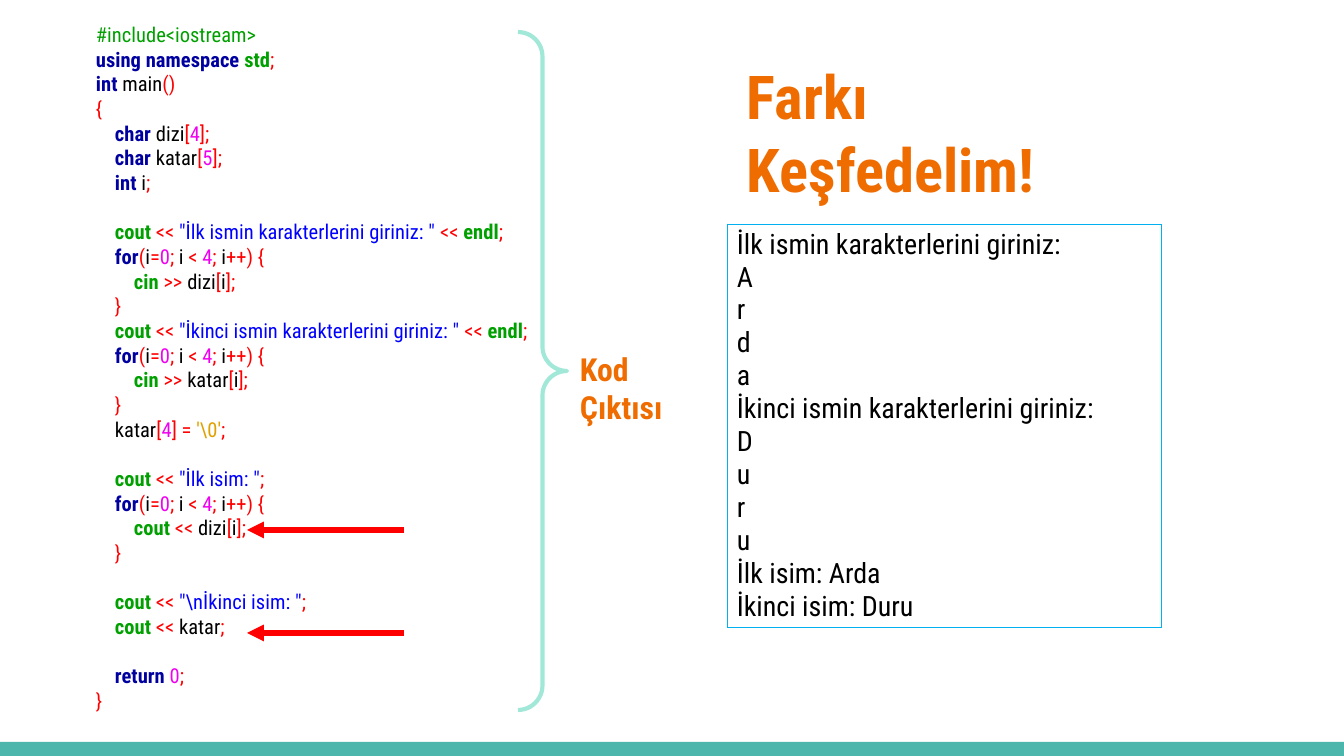
from itertools import groupby

from lxml import etree
from pptx import Presentation
from pptx.dml.color import RGBColor
from pptx.enum.shapes import MSO_CONNECTOR, MSO_SHAPE
from pptx.enum.text import MSO_ANCHOR
from pptx.oxml.ns import qn
from pptx.util import Emu, Pt

PX_PER_INCH = 134.4
FONT = "Roboto Condensed"
COLORS = {
    "bar": "4DB6AC", "heading": "EF6C00", "brace": "A1E8D9", "arrow": "FF0000",
    "border": "00B0F0", "plain": "000000", "directive": "00A000",
    "keyword": "0000A0", "library": "00A000", "symbol": "FF0000",
    "number": "F000F0", "string": "0000FF", "char": "E0A000",
}
KEYWORDS = {"using", "namespace", "int", "char", "for", "return"}
LIBRARY = {"std", "cout", "cin", "endl"}

CODE = r"""#include<iostream>
using namespace std;
int main()
{
    char dizi[4];
    char katar[5];
    int i;

    cout << "İlk ismin karakterlerini giriniz: " << endl;
    for(i=0; i < 4; i++) {
        cin >> dizi[i];
    }
    cout << "İkinci ismin karakterlerini giriniz: " << endl;
    for(i=0; i < 4; i++) {
        cin >> katar[i];
    }
    katar[4] = '\0';

    cout << "İlk isim: ";
    for(i=0; i < 4; i++) {
        cout << dizi[i];
    }

    cout << "\nİkinci isim: ";
    cout << katar;

    return 0;
}"""
OUTPUT = ["İlk ismin karakterlerini giriniz:", *"Arda",
          "İkinci ismin karakterlerini giriniz:", *"Duru",
          "İlk isim: Arda", "İkinci isim: Duru"]


def px(n):
    return Emu(round(n * 914400 / PX_PER_INCH))


def rgb(name):
    return RGBColor.from_string(COLORS[name])


def add_text(p, text, size=11, color="plain", bold=False):
    r = p.add_run()
    r.text = text
    r.font.name = FONT
    r.font.size = Pt(size)
    r.font.bold = bold
    r.font.color.rgb = rgb(color)


def word_kind(word):
    if word in KEYWORDS:
        return "keyword"
    if word in LIBRARY:
        return "library"
    return "number" if word.isdigit() else "plain"


def char_kinds(line):
    """Pair each character with its lexical class."""
    quote = ""
    for ch in line:
        if quote or ch in "\"'":
            yield ch, "string" if (quote or ch) == '"' else "char"
            quote = "" if ch == quote else quote or ch
        elif ch.isspace():
            yield ch, "space"
        else:
            yield ch, "word" if ch.isalnum() else "symbol"


def highlight(line):
    """Return (text, color name) pairs; a space joins the token before it."""
    if line.startswith("#"):
        return [(line, "directive")]
    tokens = []
    for kind, group in groupby(char_kinds(line), key=lambda pair: pair[1]):
        text = "".join(ch for ch, _ in group)
        if kind == "space":
            kind = tokens[-1][1]
        elif kind == "word":
            kind = word_kind(text)
        tokens.append((text, kind))
    return [("".join(text for text, _ in group), kind)
            for kind, group in groupby(tokens, key=lambda token: token[1])]


class Deck:
    def __init__(self, width, height):
        self.prs = Presentation()
        self.prs.slide_width, self.prs.slide_height = px(width), px(height)
        self.s = self.prs.slides.add_slide(self.prs.slide_layouts[6])

    def shape(self, kind, x, y, w, h, fill=None, line=None, weight=1):
        sp = self.s.shapes.add_shape(kind, px(x), px(y), px(w), px(h))
        sp.shadow.inherit = False
        if fill:
            sp.fill.solid()
            sp.fill.fore_color.rgb = rgb(fill)
        else:
            sp.fill.background()
        if line:
            sp.line.color.rgb = rgb(line)
            sp.line.width = Pt(weight)
        else:
            sp.line.fill.background()
        return sp

    def text_box(self, x, y, w, h):
        tf = self.s.shapes.add_textbox(px(x), px(y), px(w), px(h)).text_frame
        tf.word_wrap = True
        tf.margin_left = tf.margin_right = tf.margin_top = tf.margin_bottom = px(13)
        return tf

    def heading(self, text, x, y, w, h, size):
        p = self.text_box(x, y, w, h).paragraphs[0]
        p.line_spacing = Pt(round(size * 1.2, 1))
        add_text(p, text, size=size, color="heading", bold=True)

    def code(self, source, x, y, w, h, pitch=13.2, indent=19):
        tf = self.text_box(x, y, w, h)
        p, gap = tf.paragraphs[0], 0
        for i, line in enumerate(source.splitlines()):
            body = line.lstrip()
            if not body:
                gap = pitch
                continue
            if i:
                p = tf.add_paragraph()
            p.line_spacing, p.space_before = Pt(pitch), Pt(gap)
            gap = 0
            level = (len(line) - len(body)) // 4
            pPr = p._p.get_or_add_pPr()
            pPr.set("marL", str(px(level * indent)))
            pPr.set("indent", "0")
            for text, kind in highlight(body):
                add_text(p, text, color=kind, bold=kind in ("keyword", "library"))

    def output_table(self, lines, x, y, w, h):
        table = self.s.shapes.add_table(1, 1, px(x), px(y), px(w), px(h)).table
        table.first_row = table.horz_banding = False
        cell = table.cell(0, 0)
        cell.margin_left = cell.margin_right = px(10)
        cell.margin_top = cell.margin_bottom = 0
        cell.vertical_anchor = MSO_ANCHOR.MIDDLE
        tcPr = cell._tc.get_or_add_tcPr()
        for side in ("a:lnL", "a:lnR", "a:lnT", "a:lnB"):
            ln = etree.SubElement(tcPr, qn(side), w=str(Pt(0.5)))
            fill = etree.SubElement(ln, qn("a:solidFill"))
            etree.SubElement(fill, qn("a:srgbClr"), val=COLORS["border"])
        cell.fill.background()
        tf = cell.text_frame
        for i, line in enumerate(lines):
            add_text(tf.add_paragraph() if i else tf.paragraphs[0], line, size=15)

    def arrow(self, x1, y1, x2, y2):
        cxn = self.s.shapes.add_connector(
            MSO_CONNECTOR.STRAIGHT, px(x1), px(y1), px(x2), px(y2))
        cxn.line.color.rgb = rgb("arrow")
        cxn.line.width = Pt(3)
        etree.SubElement(cxn.line._get_or_add_ln(), qn("a:tailEnd"), type="triangle")
        etree.SubElement(cxn._element.spPr, qn("a:effectLst"))


def main():
    deck = Deck(1344, 756)

    # Footer bar
    deck.shape(MSO_SHAPE.RECTANGLE, 0, 742, 1344, 14, fill="bar")

    # Title and program listing
    deck.heading("Farkı Keşfedelim!", 734, 46, 421, 103, size=32.4)
    deck.code(CODE, 83, 9, 554, 724)

    # Program output
    deck.output_table(OUTPUT, 727, 224, 434, 403)

    # Arrows to the two printing lines
    for y in (530, 633):
        deck.arrow(404, y, 247, y)

    # Brace and its label
    brace = deck.shape(MSO_SHAPE.RIGHT_BRACE, 518, 32, 49, 678,
                       line="brace", weight=2.25)
    brace.adjustments[0] = brace.adjustments[1] = 0.5
    deck.heading("Kod Çıktısı", 567, 337, 156, 70, size=17)

    deck.prs.save("out.pptx")


if __name__ == "__main__":
    main()
